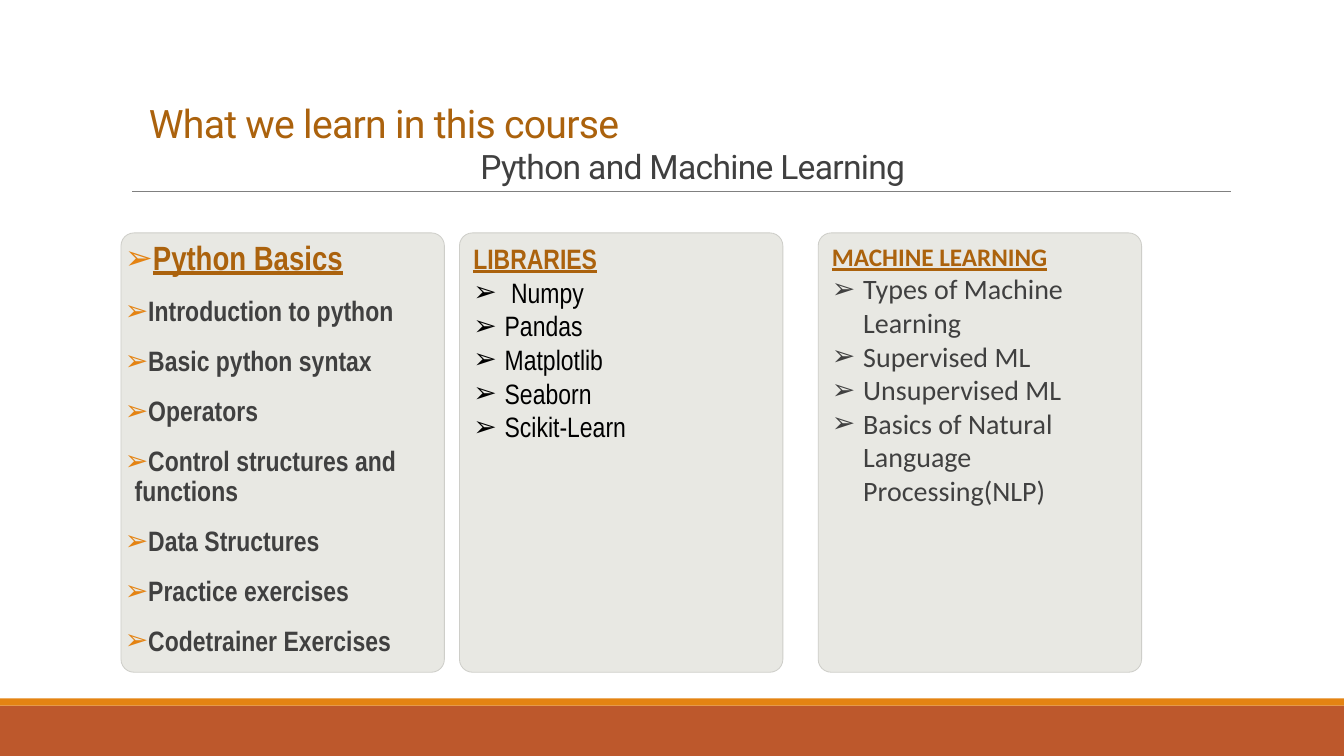
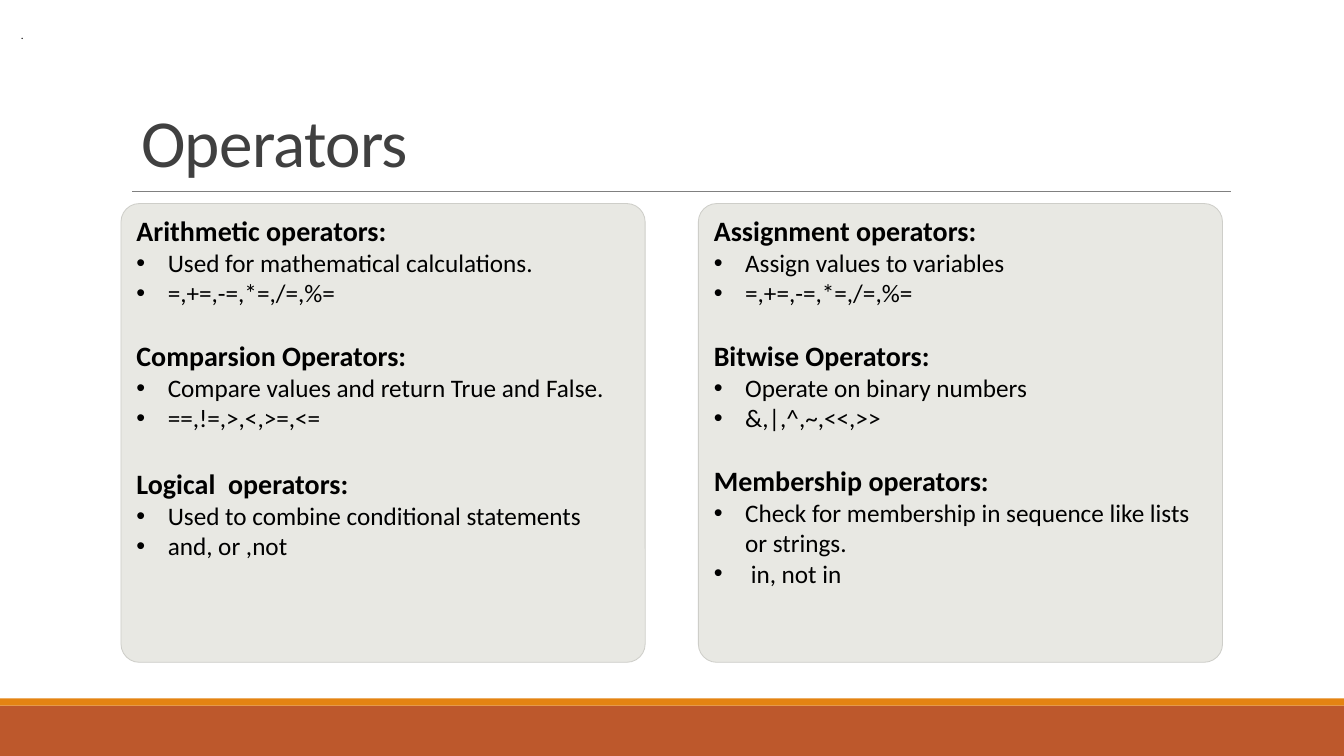
from lxml import etree
from pptx import Presentation
from pptx.dml.color import RGBColor
from pptx.enum.shapes import MSO_CONNECTOR, MSO_SHAPE
from pptx.enum.text import MSO_ANCHOR, MSO_AUTO_SIZE, PP_ALIGN
from pptx.oxml.ns import qn
from pptx.util import Cm, Pt

RECTANGLE, ROUNDED = MSO_SHAPE.RECTANGLE, MSO_SHAPE.ROUNDED_RECTANGLE
STRAIGHT = MSO_CONNECTOR.STRAIGHT
TOP, MIDDLE, BOTTOM = MSO_ANCHOR.TOP, MSO_ANCHOR.MIDDLE, MSO_ANCHOR.BOTTOM
LEFT, NO_FIT = PP_ALIGN.LEFT, MSO_AUTO_SIZE.NONE

COLORS = {
    "band": "BD582C",
    "accent": "E48312",
    "heading": "AB620D",
    "text": "404040",
    "black": "000000",
    "rule": "808080",
    "card": "E8E8E3",
    "border": "CECEC9",
}
NARROW, SANS, TITLE_FONT = "Arial Narrow", "Calibri", "Roboto"
ARROW, DOT = "➢", "•"
SLIDE_WIDTH, SLIDE_HEIGHT = 33.87, 19.05
TWO_CONTENT = 3
CORNER = 0.04
CARD_LEFT, HANG = 3.05, 0.79

BASICS = [
    "Introduction to python", "Basic python syntax", "Operators",
    "Control structures and functions", "Data Structures",
    "Practice exercises", "Codetrainer Exercises",
]
LIBRARIES = ["Pandas", "Matplotlib", "Seaborn", "Scikit-Learn"]
MACHINE_LEARNING = [
    "Types of Machine Learning", "Supervised ML", "Unsupervised ML",
    "Basics of Natural Language Processing(NLP)",
]
OPERATOR_CARDS = [
    [
        (0, "Arithmetic operators:",
         ["Used for mathematical calculations.", "=,+=,-=,*=,/=,%="]),
        (22, "Comparsion Operators:",
         ["Compare values and return True and False.", "==,!=,>,<,>=,<="]),
        (24, "Logical  operators:",
         ["Used to combine conditional statements", "and, or ,not"]),
    ],
    [
        (0, "Assignment operators:",
         ["Assign values to variables", "=,+=,-=,*=,/=,%="]),
        (22, "Bitwise Operators:",
         ["Operate on binary numbers", "&,|,^,~,<<,>>"]),
        (22, "Membership operators:",
         ["Check for membership in sequence like lists or strings.", " in, not in"]),
    ],
]


def color(name):
    """Return the palette colour of that name."""
    return RGBColor.from_string(COLORS[name])


def apply(target, values):
    """Set each attribute of the target from a dict."""
    for name, value in values.items():
        setattr(target, name, value)


def place(shape, box):
    """Move a shape to a box of left, top, width and height in cm."""
    apply(shape, dict(zip(("left", "top", "width", "height"), map(Cm, box))))


def set_bullet(props, bullet, bullet_color):
    """Give paragraph properties a bullet character, or none."""
    if not bullet:
        etree.SubElement(props, qn("a:buNone"))
        return
    if bullet_color:
        tint = etree.SubElement(props, qn("a:buClr"))
        etree.SubElement(tint, qn("a:srgbClr"), val=COLORS[bullet_color])
    etree.SubElement(props, qn("a:buFont"), typeface="Arial")
    etree.SubElement(props, qn("a:buChar"), char=bullet)


def line(text, size, font=SANS, tint="black", bold=False, underline=False,
         bullet=None, bullet_color=None, margin=0, hang=0, before=0, after=0,
         spacing=1.0, tracking=0):
    """Describe one paragraph with its format."""
    return {
        "text": text, "tint": tint, "bullet": (bullet, bullet_color),
        "margin": margin, "hang": hang, "tracking": tracking,
        "font": {"name": font, "size": Pt(size), "bold": bold, "underline": underline},
        "para": {"alignment": LEFT, "line_spacing": spacing,
                 "space_before": Pt(before), "space_after": Pt(after)},
    }


def write(shape, lines, **frame_format):
    """Fill a shape with described paragraphs."""
    frame = shape.text_frame
    apply(frame, {"word_wrap": True, "auto_size": NO_FIT, "vertical_anchor": TOP,
                  **frame_format})
    for index, item in enumerate(lines):
        para = frame.add_paragraph() if index else frame.paragraphs[0]
        apply(para, item["para"])
        props = para._p.get_or_add_pPr()
        props.set("marL", str(Cm(item["margin"])))
        props.set("indent", str(Cm(-item["hang"])))
        set_bullet(props, *item["bullet"])
        span = para.add_run()
        span.text = item["text"]
        apply(span.font, item["font"])
        span.font.color.rgb = color(item["tint"])
        if item["tracking"]:
            span._r.get_or_add_rPr().set("spc", str(item["tracking"]))


def add_title(page, box, lines):
    """Place the title placeholder, its text resting on the bottom."""
    place(page.shapes.title, box)
    write(page.shapes.title, lines, vertical_anchor=BOTTOM)


def add_card(page, box, lines, slot=None, **frame_format):
    """Draw a rounded card in a body placeholder, or in a new shape."""
    if slot:
        card = page.placeholders[slot]
        place(card, box)
        outline = etree.SubElement(card._element.spPr, qn("a:prstGeom"), prst="roundRect")
        guides = etree.SubElement(outline, qn("a:avLst"))
        etree.SubElement(guides, qn("a:gd"), name="adj", fmla=f"val {CORNER * 100000:.0f}")
    else:
        card = page.shapes.add_shape(ROUNDED, *map(Cm, box))
        card.adjustments[0] = CORNER
    card.shadow.inherit = False
    card.fill.solid()
    card.fill.fore_color.rgb = color("card")
    card.line.color.rgb = color("border")
    card.line.width = Pt(0.6)
    write(card, lines, **frame_format)


def add_master_parts(page):
    """Put the footer bands and the title rule on the slide master."""
    parts = []
    for top, height, tint in ((17.78, 1.27, "band"), (17.6, 0.18, "accent")):
        band = page.shapes.add_shape(RECTANGLE, 0, Cm(top), Cm(SLIDE_WIDTH), Cm(height))
        band.shadow.inherit = False
        band.fill.solid()
        band.fill.fore_color.rgb = color(tint)
        band.line.fill.background()
        parts.append(band)
    rule = page.shapes.add_connector(STRAIGHT, Cm(3.33), Cm(4.83), Cm(31.01), Cm(4.83))
    rule.line.color.rgb = color("rule")
    rule.line.width = Pt(0.5)
    etree.SubElement(rule._element.spPr, qn("a:effectLst"))
    parts.append(rule)
    tree = page.slide_layout.slide_master.shapes._spTree
    for part in parts:
        tree.append(part._element)


def build_course(page):
    """Build the course overview with its three cards."""
    title = {"font": TITLE_FONT, "spacing": 0.85, "tracking": -50}
    add_title(page, (CARD_LEFT, 1.5, 27.94, 3.33), [
        line("What we learn in this course", 28, tint="heading", margin=0.45, **title),
        line("Python and Machine Learning", 24, tint="text", margin=8.8, before=4, **title),
    ])
    heading = {"tint": "heading", "bold": True, "underline": True}
    basics = {"font": NARROW, "bullet": ARROW, "bullet_color": "accent",
              "margin": 0.25, "hang": 0.25, "before": 12, "after": 2, "spacing": 0.9}
    arrow = {"bullet": ARROW, "margin": HANG, "hang": HANG}
    top, width, height = 5.87, 8.15, 11.07
    add_card(page, (CARD_LEFT, top, width, height),
             [line("Python Basics", 24, **heading, **basics)]
             + [line(text, 20, tint="text", bold=True, **basics) for text in BASICS],
             slot=1, margin_left=0, margin_right=0)
    add_card(page, (11.58, top, width, height),
             [line("LIBRARIES", 20, NARROW, **heading),
              line("Numpy", 20, NARROW, bullet=ARROW, margin=0.95, hang=0.95)]
             + [line(text, 20, NARROW, **arrow) for text in LIBRARIES],
             slot=2)
    add_card(page, (20.62, top, width, height),
             [line("MACHINE LEARNING", 18, **heading)]
             + [line(text, 20, tint="text", **arrow) for text in MACHINE_LEARNING])


def build_operators(page):
    """Build the operators slide with its two cards."""
    add_title(page, (3.3, 0.66, 27.94, 4.04),
              [line("Operators", 48, tint="text", spacing=0.85, tracking=-50)])
    for slot, groups in enumerate(OPERATOR_CARDS, start=1):
        lines = []
        for gap, heading, items in groups:
            lines.append(line(heading, 20, bold=True, before=gap))
            lines += [line(text, 18, bullet=DOT, margin=HANG, hang=HANG) for text in items]
        left = CARD_LEFT + (slot - 1) * 14.55
        add_card(page, (left, 5.13, 13.21, 11.56), lines, slot=slot)
    mark = page.shapes.add_textbox(*map(Cm, (0.28, 0.58, 0.64, 0.61)))
    write(mark, [line(".", 8)], word_wrap=False, vertical_anchor=MIDDLE)


def main():
    """Build and save the deck."""
    deck = Presentation()
    deck.slide_width, deck.slide_height = Cm(SLIDE_WIDTH), Cm(SLIDE_HEIGHT)
    layout = deck.slide_layouts[TWO_CONTENT]
    for index, build in enumerate((build_course, build_operators)):
        page = deck.slides.add_slide(layout)
        if index == 0:
            add_master_parts(page)
        build(page)
    deck.save("out.pptx")


if __name__ == "__main__":
    main()
